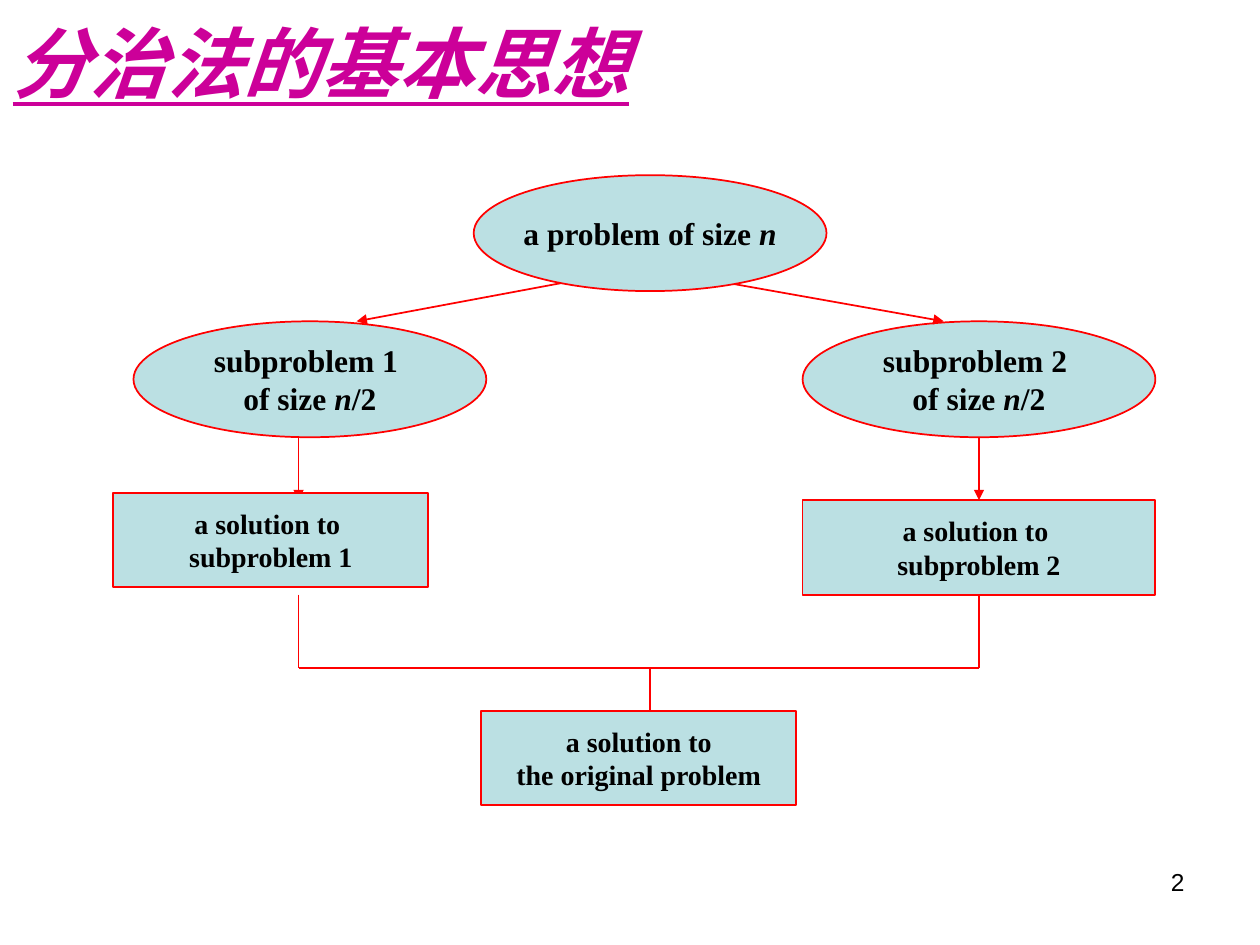
import pptx
import pptx.dml.color
import pptx.enum.shapes
import pptx.enum.text
import pptx.oxml
import pptx.oxml.ns
import pptx.util

SHAPE = pptx.enum.shapes.MSO_SHAPE
ALIGN = pptx.enum.text.PP_ALIGN
ANCHOR = pptx.enum.text.MSO_ANCHOR
TOP, BOTTOM = 0, 2


def colour(hex_string):
    return pptx.dml.color.RGBColor.from_string(hex_string)


class DivideAndConquerSlide:
    """Style and current slide; lengths are in a grid of 100 columns by 75 rows."""

    COLUMNS, ROWS = 100, 75
    FILL, LINE, TEXT, TITLE = "BBE0E3", "FF0000", "000000", "CC0099"
    BODY_FONT, HEAD_FONT = "Times New Roman", "Arial"

    def __init__(self, deck):
        self.column = deck.slide_width / self.COLUMNS
        self.row = deck.slide_height / self.ROWS
        self.slide = deck.slides.add_slide(deck.slide_layouts[5])

    def place(self, left, top, width, height):
        return (round(left * self.column), round(top * self.row),
                round(width * self.column), round(height * self.row))

    def run(self, paragraph, text, size, font, ink, bold=False, italic=False):
        run = paragraph.add_run()
        run.text = text
        run.font.size = pptx.util.Pt(size)
        run.font.name = font
        run.font.bold = bold
        run.font.italic = italic
        run.font.color.rgb = colour(ink)
        return run

    def title(self, text, box):
        heading = self.slide.shapes.title
        heading.left, heading.top, heading.width, heading.height = self.place(*box)
        frame = heading.text_frame
        frame.auto_size = pptx.enum.text.MSO_AUTO_SIZE.NONE
        frame.vertical_anchor = ANCHOR.MIDDLE
        paragraph = frame.paragraphs[0]
        paragraph.alignment = ALIGN.LEFT
        run = self.run(paragraph, text, 44, self.HEAD_FONT, self.TITLE, True, True)
        run.font.underline = True

    def page_number(self, text, box):
        frame = self.slide.shapes.add_textbox(*self.place(*box)).text_frame
        frame.word_wrap = True
        paragraph = frame.paragraphs[0]
        paragraph.alignment = ALIGN.RIGHT
        self.run(paragraph, text, 14, self.HEAD_FONT, self.TEXT)

    def node(self, preset, box, lines, size):
        """Add a labelled shape; each line is a list of runs, and the run "n" is italic."""
        node = self.slide.shapes.add_shape(preset, *self.place(*box))
        node.shadow.inherit = False
        node.fill.solid()
        node.fill.fore_color.rgb = colour(self.FILL)
        node.line.color.rgb = colour(self.LINE)
        node.line.width = pptx.util.Pt(1)
        frame = node.text_frame
        frame.word_wrap = False
        frame.vertical_anchor = ANCHOR.MIDDLE
        for index, line in enumerate(lines):
            paragraph = frame.add_paragraph() if index else frame.paragraphs[0]
            paragraph.alignment = ALIGN.CENTER
            for text in line:
                self.run(paragraph, text, size, self.BODY_FONT, self.TEXT, True, text == "n")
        return node

    def problem(self, left, top, *lines):
        return self.node(SHAPE.OVAL, (left, top, 28, 9.2), lines, 18)

    def solution(self, left, top, width, *lines):
        return self.node(SHAPE.RECTANGLE, (left, top, width, 7.5), [[line] for line in lines], 16)

    def link(self, x1, y1, x2, y2, arrow=False):
        link = self.slide.shapes.add_connector(
            pptx.enum.shapes.MSO_CONNECTOR.STRAIGHT, *self.place(x1, y1, x2, y2))
        link.line.color.rgb = colour(self.LINE)
        link.line.width = pptx.util.Pt(1)
        if arrow:
            head = pptx.oxml.parse_xml(
                f'<a:tailEnd {pptx.oxml.ns.nsdecls("a")} type="triangle"/>')
            link.line._get_or_add_ln().append(head)
        link._element.spPr.append(
            pptx.oxml.parse_xml(f'<a:effectLst {pptx.oxml.ns.nsdecls("a")}/>'))
        return link


def main():
    deck = pptx.Presentation()
    deck.slide_width = pptx.util.Inches(10)
    deck.slide_height = pptx.util.Inches(7.5)
    page = DivideAndConquerSlide(deck)
    page.title("分治法的基本思想", (0, 2.1, 68.9, 5.6))

    left_branch, right_branch, merge = 23.7, 77.7, 51.6
    split_bottom, solved_top, solved_bottom, join = 34.7, 39.7, 47.2, 53

    for number, left in ((2, 63.7), (1, 10.6)):
        page.problem(left, 25.5, [f"subproblem {number} "], ["of size ", "n", "/2"])
    second_solution = page.solution(63.7, solved_top, 28, "a solution to ", "subproblem 2")

    page.link(46, 22.2, 28.3, 25.5, arrow=True)
    page.link(56.3, 22.2, 74.9, 25.5, arrow=True)
    page.problem(37.6, 13.9, ["a problem of size ", "n"])

    page.link(left_branch, split_bottom, left_branch, solved_top, arrow=True)
    solving = page.link(right_branch, split_bottom, right_branch, solved_top, arrow=True)
    solving.end_connect(second_solution, TOP)
    page.link(left_branch, solved_bottom, left_branch, join)
    joining = page.link(right_branch, solved_bottom, right_branch, join)
    joining.begin_connect(second_solution, BOTTOM)
    page.link(left_branch, join, right_branch, join)
    page.link(merge, join, merge, 58.9, arrow=True)

    page.solution(9, 39.1, 25, "a solution to ", "subproblem 1")
    page.solution(38.2, 56.4, 25, "a solution to", "the original problem")
    page.page_number("2", (71.7, 68.3, 23.3, 5.2))
    deck.save("out.pptx")


if __name__ == "__main__":
    main()
